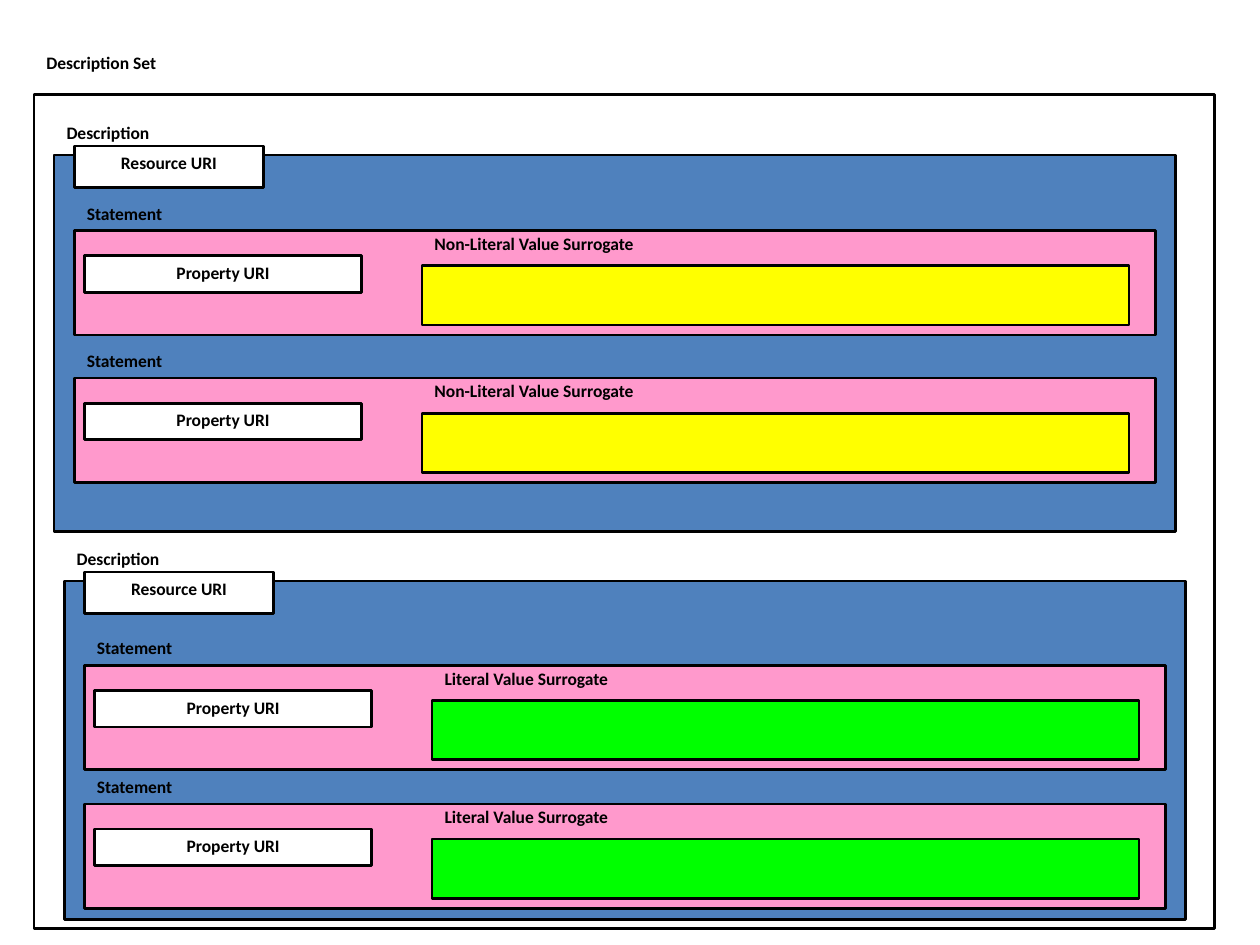
"""Build a slide showing the nested structure of a description set."""
from pptx import Presentation
from pptx.dml.color import RGBColor
from pptx.enum.shapes import MSO_SHAPE
from pptx.enum.text import MSO_ANCHOR, PP_ALIGN
from pptx.util import Inches, Pt

RECTANGLE = MSO_SHAPE.RECTANGLE
TOP = MSO_ANCHOR.TOP
LEFT, CENTER = PP_ALIGN.LEFT, PP_ALIGN.CENTER
COLORS = {
    "black": "000000",
    "white": "FFFFFF",
    "blue": "4F81BD",
    "pink": "FF99CC",
    "yellow": "FFFF00",
    "green": "00FF00",
}
DESCRIPTIONS = [
    {"left": 0.43, "top": 1.23, "height": 2.99, "statements": [1.83, 3.0],
     "surrogate": "Non-Literal Value Surrogate", "label_width": 2.13, "color": "yellow"},
    {"left": 0.51, "top": 4.61, "height": 2.69, "statements": [5.28, 6.38],
     "surrogate": "Literal Value Surrogate", "label_width": 1.81, "color": "green"},
]

deck = Presentation()
deck.slide_width, deck.slide_height = Inches(10), Inches(7.5)
slide = deck.slides.add_slide(deck.slide_layouts[6])


def write(box, text, align=LEFT, size=10, color="black"):
    frame = box.text_frame
    frame.word_wrap = True
    frame.vertical_anchor = TOP
    para = frame.paragraphs[0]
    para.alignment = align
    span = para.add_run()
    span.text = text
    span.font.name = "Calibri"
    span.font.size = Pt(size)
    span.font.bold = True
    span.font.color.rgb = RGBColor.from_string(COLORS[color])


def add_box(left, top, width, height, fill=None, outlined=True):
    place = [Inches(length) for length in (left, top, width, height)]
    if not outlined:
        return slide.shapes.add_textbox(*place)
    box = slide.shapes.add_shape(RECTANGLE, *place)
    box.shadow.inherit = False
    box.line.color.rgb = RGBColor.from_string(COLORS["black"])
    box.line.width = Pt(1.5)
    if fill:
        box.fill.solid()
        box.fill.fore_color.rgb = RGBColor.from_string(COLORS[fill])
    else:
        box.fill.background()
    return box


add_box(0.27, 0.75, 9.37, 6.62)
write(add_box(0.27, 0.36, 1.51, 0.29, outlined=False), "Description Set")

for description in DESCRIPTIONS:
    left, top = description["left"], description["top"]
    add_box(left, top, 8.9, description["height"], "blue")
    write(add_box(left, top - 0.31, 1.54, 0.45, outlined=False), "Description")
    write(add_box(left + 0.16, top - 0.07, 1.5, 0.33, "white"), "Resource URI", align=CENTER)

    for row in description["statements"]:
        add_box(left + 0.16, row, 8.58, 0.83, "pink")
        write(add_box(left + 0.16, row - 0.27, 1.05, 0.27, outlined=False), "Statement")
        write(add_box(left + 0.24, row + 0.2, 2.2, 0.29, "white"), "Property URI", align=CENTER)
        add_box(left + 2.92, row + 0.28, 5.61, 0.47, description["color"])
        label = add_box(left + 2.92, row - 0.03, description["label_width"], 0.24, outlined=False)
        write(label, description["surrogate"])

deck.save("out.pptx")
